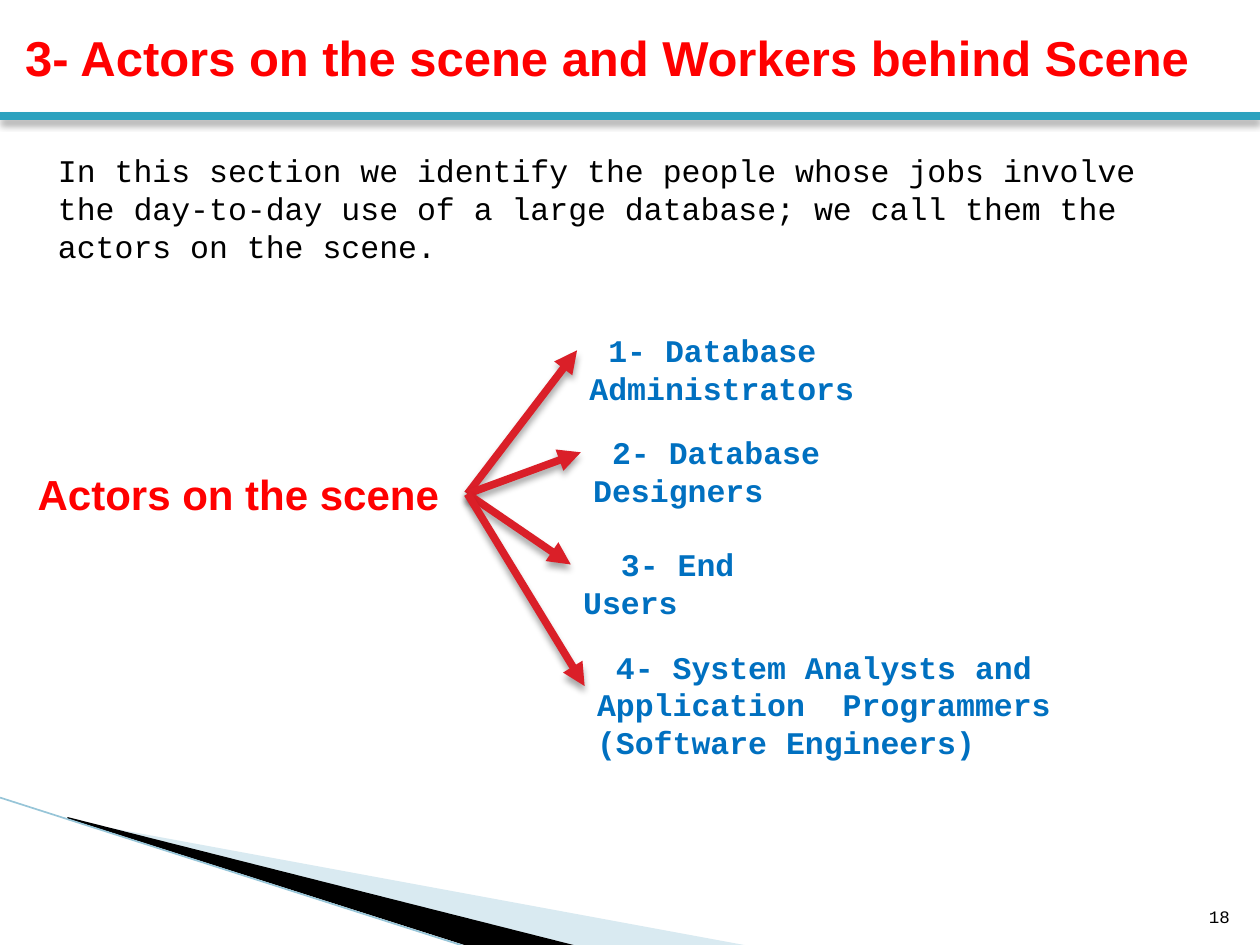
import pptx
import pptx.util
import pptx.dml.color
import pptx.enum.shapes
import pptx.enum.text
import pptx.oxml
import pptx.oxml.ns

COLORS = {"red": "FF0000", "blue": "0070C0", "black": "000000", "arrow": "DA1F28",
          "rule": "2DA2BF", "pale": "A0CBDC", "edge": "97C5D8"}
CELL = pptx.util.Inches(0.1)
ALIGN = pptx.enum.text.PP_ALIGN
ANCHOR = pptx.enum.text.MSO_ANCHOR
NS = pptx.oxml.ns.nsdecls("a")


def grid(*cells):
    """Turn cells of the 100 by 75 slide grid into lengths."""
    return [round(c * CELL) for c in cells]


def rgb(name):
    """Look up a named colour."""
    return pptx.dml.color.RGBColor.from_string(COLORS[name])


def place(sp, box):
    """Set the position and size of a shape."""
    sp.left, sp.top, sp.width, sp.height = grid(*box)


def write(sp, text, size, font, color, bold=False, indent=0,
          align=ALIGN.LEFT, anchor=ANCHOR.TOP):
    """Fill a shape with one formatted paragraph."""
    tf = sp.text_frame
    tf.word_wrap = True
    tf.auto_size = pptx.enum.text.MSO_AUTO_SIZE.NONE
    tf.vertical_anchor = anchor
    p = tf.paragraphs[0]
    p.alignment = align
    p.space_before = pptx.util.Pt(0)
    pPr = p._p.get_or_add_pPr()
    pPr.set("marL", "0")
    pPr.set("indent", str(grid(indent)[0]))
    pPr.append(pptx.oxml.parse_xml(f"<a:buNone {NS}/>"))
    r = p.add_run()
    r.text = text
    r.font.size = pptx.util.Pt(size)
    r.font.name = font
    r.font.bold = bold
    r.font.color.rgb = rgb(color)


def add_text(s, box, *args, **kwargs):
    """Add a text box and return it."""
    sp = s.shapes.add_textbox(*grid(*box))
    write(sp, *args, **kwargs)
    return sp


def add_line(s, start, end, color, width, shadow=True, arrow=False):
    """Add a straight line with an optional shadow and arrowhead."""
    line = s.shapes.add_connector(pptx.enum.shapes.MSO_CONNECTOR.STRAIGHT,
                                  *grid(*start, *end))
    line.line.color.rgb = rgb(color)
    line.line.width = pptx.util.Pt(width)
    if arrow:
        line.line._get_or_add_ln().append(
            pptx.oxml.parse_xml(f'<a:tailEnd {NS} type="triangle"/>'))
    effect = (f'<a:outerShdw blurRad="{pptx.util.Pt(4)}" dist="{pptx.util.Pt(3)}" '
              f'dir="5400000" rotWithShape="0"><a:srgbClr val="{COLORS["black"]}">'
              '<a:alpha val="35000"/></a:srgbClr></a:outerShdw>') if shadow else ""
    line._element.spPr.append(
        pptx.oxml.parse_xml(f"<a:effectLst {NS}>{effect}</a:effectLst>"))
    return line


def add_wedge(s, points, color, alpha=100):
    """Add a filled outline without a border."""
    start, *rest = [grid(*pt) for pt in points]
    builder = s.shapes.build_freeform(*start)
    builder.add_line_segments(rest, close=True)
    sp = builder.convert_to_shape()
    sp.shadow.inherit = False
    sp.fill.solid()
    sp.fill.fore_color.rgb = rgb(color)
    sp.line.fill.background()
    if alpha < 100:
        clr = sp._element.spPr.find(".//" + pptx.oxml.ns.qn("a:srgbClr"))
        clr.append(pptx.oxml.parse_xml(f'<a:alpha {NS} val="{alpha * 1000}"/>'))


def add_corner(s, box):
    """Draw the wedges in the lower left corner."""
    x, y, w, h = box

    def at(*shares):
        return [(x + w * u, y + h * v) for u, v in shares]

    add_wedge(s, at((0.09, 0.15), (1, 0.99), (0.77, 0.99), (0.09, 0.14)), "pale", 40)
    add_wedge(s, at((0.09, 0.13), (0.77, 0.99), (0.63, 1), (0.09, 0.14)), "black")
    add_line(s, *at((0, 0), (0.625, 1)), "edge", 0.95, shadow=False)


def add_header(s, box):
    """Place the title and the rule below it."""
    x, y, w, h = box
    place(s.shapes.title, (x + 1, y + 1.7, w - 4.5, 5.7))
    write(s.shapes.title, "3- Actors on the scene and Workers behind Scene",
          28, "Arial", "red", bold=True)
    add_line(s, (x, y + h), (x + w, y + h), "rule", 4.33)


def add_intro(s, box):
    """Place the opening paragraph in the body placeholder."""
    sp = s.placeholders[1]
    place(sp, box)
    write(sp, "In this section we identify the people whose jobs involve the day-to-day "
          "use of a large database; we call them the actors on the scene.",
          18, "Courier New", "black")


def add_actors(s, box):
    """Place the label and join it to each kind of actor."""
    x, y, w, h = box
    label = add_text(s, (x, y + 10.9, 35.1, 5), "Actors on the scene",
                     24, "Arial", "red", bold=True)
    actors = [
        ("1- Database Administrators", 43.8, 0, 37, 4, 1.5),
        ("2- Database Designers", 44.1, 8.1, 31, 4, 1.5),
        ("3- End Users", 43.3, 17, 19.6, 4, 3),
        ("4- System Analysts and Application  Programmers (Software Engineers)",
         44.4, 25.1, 50, 7.1, 1.5),
    ]
    for text, dx, dy, width, height, indent in actors:
        sp = add_text(s, (x + dx, y + dy, width, height), text,
                      18, "Courier New", "blue", bold=True, indent=indent)
        line = add_line(s, (x + 35.1, y + 13.4), (x + dx, y + dy + height / 2),
                        "arrow", 4.33, arrow=True)
        line.begin_connect(label, 3)
        line.end_connect(sp, 1)


def main():
    """Build and save the slide."""
    prs = pptx.Presentation()
    prs.slide_width, prs.slide_height = grid(100, 75)
    s = prs.slides.add_slide(prs.slide_layouts[1])
    add_corner(s, (0, 63.3, 59.5, 11.9))
    add_header(s, (0, 0, 100, 9.2))
    add_intro(s, (3.6, 11.5, 92.9, 7.1))
    add_actors(s, (2, 25.8, 94.4, 32.2))
    add_text(s, (94.6, 70.1, 4, 4), "18", 10, "Courier New", "black",
             align=ALIGN.RIGHT, anchor=ANCHOR.BOTTOM)
    prs.save("out.pptx")


if __name__ == "__main__":
    main()
